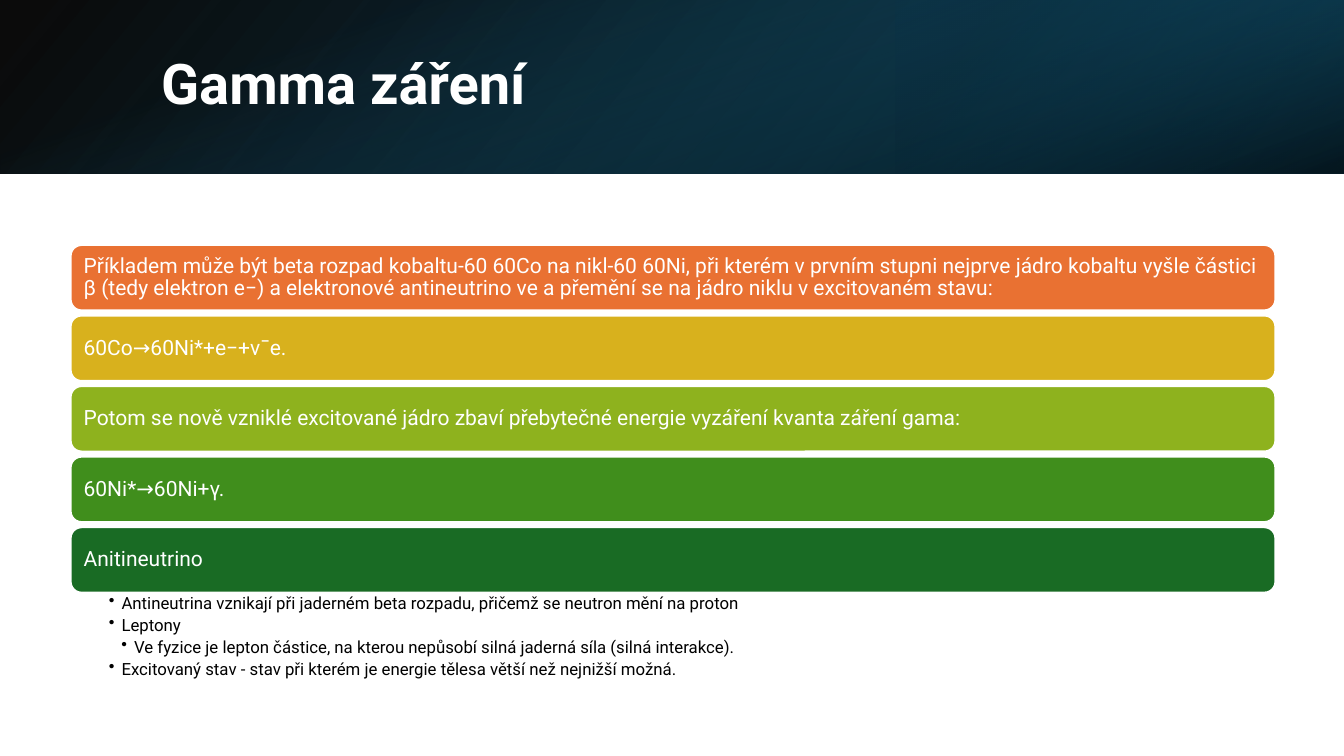
"""Build the gamma radiation slide with a gradient banner, five bars and notes on terms."""
from lxml import etree
from pptx import Presentation
from pptx.dml.color import RGBColor
from pptx.enum.shapes import MSO_SHAPE
from pptx.enum.text import MSO_ANCHOR, PP_ALIGN
from pptx.oxml.ns import qn
from pptx.util import Inches, Pt

RECTANGLE, ROUNDED = MSO_SHAPE.RECTANGLE, MSO_SHAPE.ROUNDED_RECTANGLE
MIDDLE, TOP = MSO_ANCHOR.MIDDLE, MSO_ANCHOR.TOP
LEFT = PP_ALIGN.LEFT

FONT = "Roboto"
WHITE, BLACK = "FFFFFF", "000000"
TITLE = "Gamma záření"
BARS = [
    ("Příkladem může být beta rozpad kobaltu-60 60Co na nikl-60 60Ni, při kterém v prvním "
     "stupni nejprve jádro kobaltu vyšle částici β (tedy elektron e−) a elektronové "
     "antineutrino νe a přemění se na jádro niklu v excitovaném stavu:", "E97132"),
    ("60Co→60Ni*+e−+ν¯e.", "D8B11D"),
    ("Potom se nově vzniklé excitované jádro zbaví přebytečné energie "
     "vyzáření kvanta záření gama:", "8EB21E"),
    ("60Ni*→60Ni+γ.", "408E1C"),
    ("Anitineutrino", "196B24"),
]
TERMS = [
    (1, "Antineutrina vznikají při jaderném beta rozpadu, přičemž se neutron mění na proton"),
    (1, "Leptony"),
    (2, "Ve fyzice je lepton částice, na kterou nepůsobí silná jaderná síla (silná interakce)."),
    (1, "Excitovaný stav - stav při kterém je energie tělesa větší než nejnižší možná."),
]

WIDTH, HEIGHT = 13.33, 7.5
BANNER = 1.72
BAR_LEFT, BAR_TOP, BAR_WIDTH, BAR_HEIGHT, BAR_PITCH = 0.7, 2.43, 11.95, 0.65, 0.7
INDENT = 0.125
MIDDLE_OFFSET = (WIDTH - BANNER) / 2
BANNER_LAYERS = [
    ((0, 0, WIDTH, BANNER), 0, True, 140, [(0, BLACK, 96), (100, "104862", 100)]),
    ((WIDTH * 2 / 3, 0, WIDTH / 3, BANNER), 180, True, 320,
     [(19, "0B3041", 68), (100, "156082", 79)]),
    ((MIDDLE_OFFSET, -MIDDLE_OFFSET, BANNER, WIDTH), 90, False, 340,
     [(23, "156082", 0), (99, BLACK, 74)]),
]


def color(code):
    return RGBColor.from_string(code)


def child(parent, tag, **attributes):
    return etree.SubElement(parent, qn(tag), {key: str(value) for key, value in attributes.items()})


def add_layer(slide, place, rotation, flipped, angle, stops):
    layer = slide.shapes.add_shape(RECTANGLE, *map(Inches, place))
    layer.shadow.inherit = False
    layer.line.fill.background()
    layer.rotation = rotation
    properties = layer.element.spPr
    if flipped:
        properties.find(qn("a:xfrm")).set("flipH", "1")
    gradient = etree.Element(qn("a:gradFill"), rotWithShape="1")
    stop_list = child(gradient, "a:gsLst")
    for position, code, opacity in stops:
        stop = child(stop_list, "a:gs", pos=position * 1000)
        tone = child(stop, "a:srgbClr", val=code)
        child(tone, "a:alpha", val=opacity * 1000)
    child(gradient, "a:lin", ang=angle * 60000, scaled=0)
    properties.find(qn("a:prstGeom")).addnext(gradient)


def set_frame(shape, anchor, insets):
    frame = shape.text_frame
    frame.word_wrap = True
    frame.vertical_anchor = anchor
    frame.margin_left, frame.margin_top, frame.margin_right, frame.margin_bottom = map(Inches, insets)
    return frame


def write(para, text, size, code, bold=False):
    para.alignment = LEFT
    para.line_spacing = 0.9
    span = para.add_run()
    span.text = text
    span.font.name, span.font.size, span.font.bold = FONT, Pt(size), bold
    span.font.color.rgb = color(code)


def add_bar(slide, row, text, code):
    bar = slide.shapes.add_shape(
        ROUNDED, Inches(BAR_LEFT), Inches(BAR_TOP + row * BAR_PITCH),
        Inches(BAR_WIDTH), Inches(BAR_HEIGHT))
    bar.shadow.inherit = False
    bar.fill.solid()
    bar.fill.fore_color.rgb = color(code)
    bar.line.color.rgb = color(WHITE)
    bar.line.width = Pt(1.5)
    frame = set_frame(bar, MIDDLE, (0.1, 0.06, 0.08, 0.06))
    write(frame.paragraphs[0], text, 15, WHITE)


def add_terms(slide):
    top = BAR_TOP + (len(BARS) - 1) * BAR_PITCH + BAR_HEIGHT
    box = slide.shapes.add_textbox(*map(Inches, (BAR_LEFT, top, BAR_WIDTH, 0.9)))
    frame = set_frame(box, TOP, (0.38, 0.02, 0.12, 0.02))
    for index, (level, text) in enumerate(TERMS):
        para = frame.add_paragraph() if index else frame.paragraphs[0]
        write(para, text, 12, BLACK)
        para.level = level
        para.space_after = Pt(2.8)
        properties = para._p.get_or_add_pPr()
        properties.set("marL", str(Inches(level * INDENT)))
        properties.set("indent", str(-Inches(INDENT)))
        child(properties, "a:buChar", char="•")


def main():
    deck = Presentation()
    deck.slide_width, deck.slide_height = Inches(WIDTH), Inches(HEIGHT)
    page = deck.slides.add_slide(deck.slide_layouts[6])
    for layer in BANNER_LAYERS:
        add_layer(page, *layer)
    title = page.shapes.add_textbox(*map(Inches, (1.5, 0.38, 10.98, 0.96)))
    frame = set_frame(title, MIDDLE, (0.1, 0.05, 0.1, 0.05))
    write(frame.paragraphs[0], TITLE, 40, WHITE, bold=True)
    for row, (text, code) in enumerate(BARS):
        add_bar(page, row, text, code)
    add_terms(page)
    deck.save("out.pptx")


if __name__ == "__main__":
    main()
